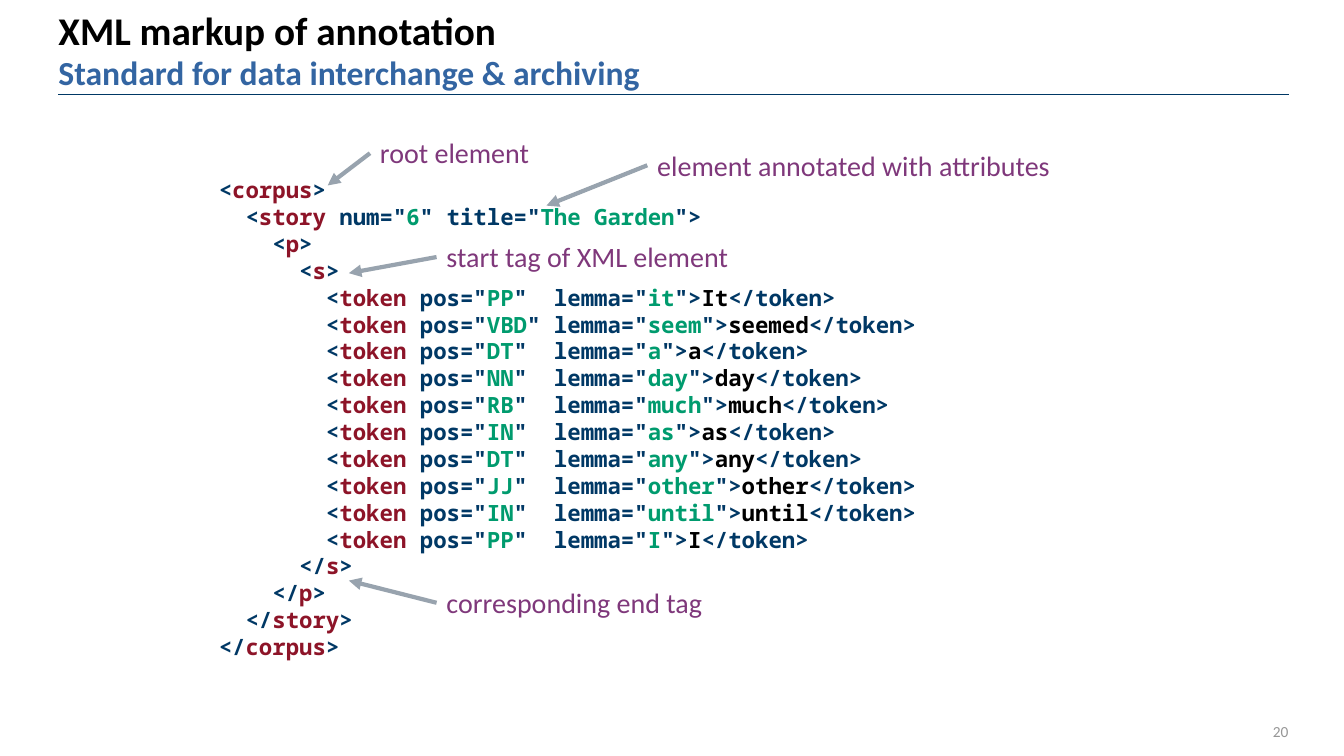
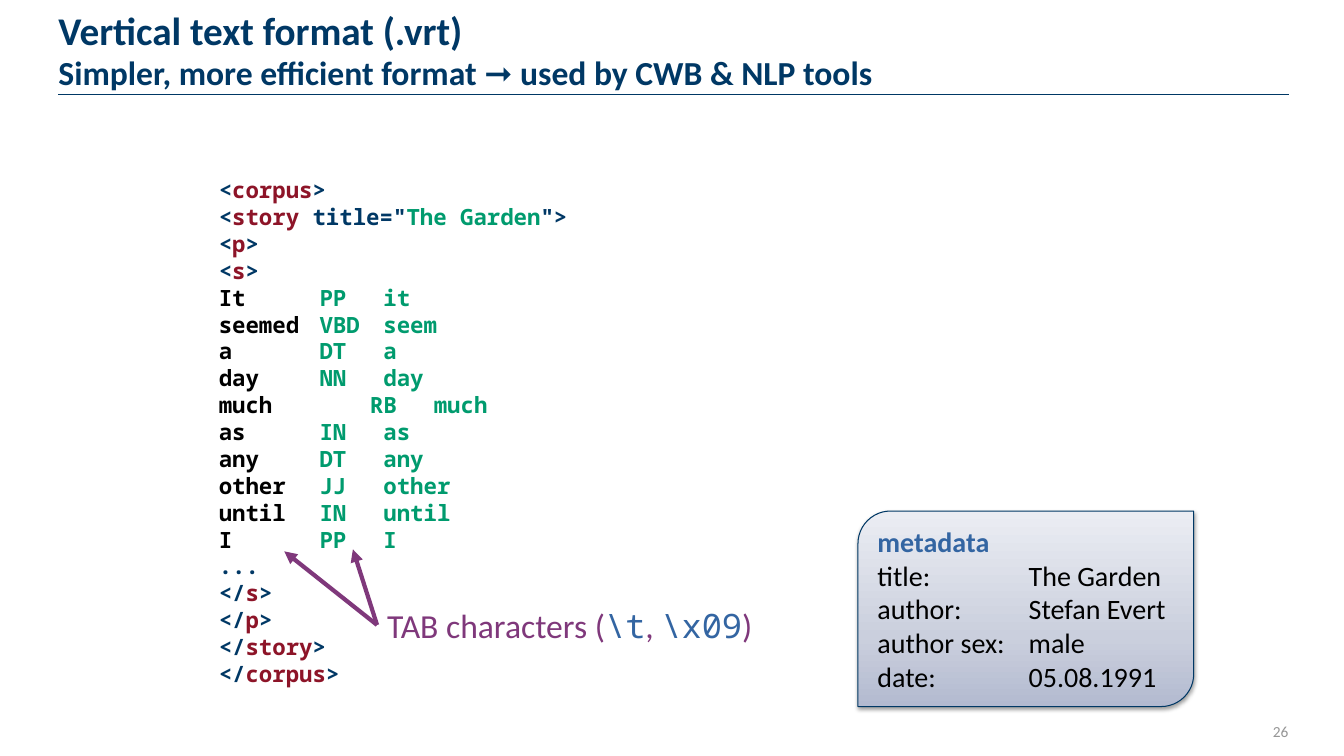
from lxml.etree import SubElement
from pptx import Presentation
from pptx.dml.color import RGBColor
from pptx.enum.shapes import MSO_CONNECTOR, MSO_SHAPE
from pptx.enum.text import MSO_ANCHOR, MSO_AUTO_SIZE, PP_ALIGN
from pptx.oxml import parse_xml
from pptx.oxml.ns import nsdecls, qn
from pptx.util import Inches, Pt

BLACK = RGBColor(0x00, 0x00, 0x00)
NAVY = RGBColor(0x00, 0x38, 0x65)
BLUE = RGBColor(0x33, 0x65, 0xA2)
CRIMSON = RGBColor(0x8D, 0x14, 0x28)
GREEN = RGBColor(0x00, 0x9B, 0x6E)
PURPLE = RGBColor(0x7F, 0x38, 0x7B)
STEEL = RGBColor(0x98, 0xA3, 0xAE)
GREY = RGBColor(0x96, 0x96, 0x96)
CARD_STOPS = (
    (0, RGBColor(0xB3, 0xBA, 0xD0)),
    (35, RGBColor(0xCA, 0xCF, 0xDD)),
    (100, RGBColor(0xEB, 0xED, 0xF3)),
)

SANS = "Calibri"
MONO = "Noto Sans Mono"

TITLE_BOX = (0.58, 0.13, 8.44, 0.79)
CODE_BOX = (2.17, 1.75, 9, 5.57)
NUMBER_BOX = (12.12, 7.01, 0.66, 0.49)
MARGIN_LEFT, MARGIN_RIGHT, RULE_TOP = 0.58, 12.78, 0.94

TOKENS = (
    ("It", "PP", "it"),
    ("seemed", "VBD", "seem"),
    ("a", "DT", "a"),
    ("day", "NN", "day"),
    ("much", "RB", "much"),
    ("as", "IN", "as"),
    ("any", "DT", "any"),
    ("other", "JJ", "other"),
    ("until", "IN", "until"),
    ("I", "PP", "I"),
)


def write(paragraph, text, size=20, color=BLACK, bold=False, font=SANS):
    run = paragraph.add_run()
    run.text = text
    run.font.name = font
    run.font.size = Pt(size)
    run.font.bold = bold
    run.font.color.rgb = color


def set_frame(frame, anchor=MSO_ANCHOR.TOP, insets=(0, 0, 0, 0)):
    frame.word_wrap = True
    frame.auto_size = MSO_AUTO_SIZE.NONE
    frame.vertical_anchor = anchor
    frame.margin_left, frame.margin_top, frame.margin_right, frame.margin_bottom = map(Inches, insets)
    return frame


def add_frame(slide, box, **layout):
    return set_frame(slide.shapes.add_textbox(*map(Inches, box)).text_frame, **layout)


def next_paragraph(frame, index):
    return frame.add_paragraph() if index else frame.paragraphs[0]


def set_tabs(paragraph, *stops):
    tab_list = SubElement(paragraph._p.get_or_add_pPr(), qn("a:tabLst"))
    for stop in stops:
        SubElement(tab_list, qn("a:tab"), pos=str(Inches(stop)), algn="l")


def add_line(slide, start, end, color, width, arrow=False):
    line = slide.shapes.add_connector(MSO_CONNECTOR.STRAIGHT, *map(Inches, (*start, *end)))
    line.line.color.rgb = color
    line.line.width = Pt(width)
    if arrow:
        SubElement(line.line._get_or_add_ln(), qn("a:tailEnd"), type="triangle")
    SubElement(line.element.spPr, qn("a:effectLst"))


def add_page(deck, heading, subheading, heading_color, subheading_color, number):
    slide = deck.slides.add_slide(deck.slide_layouts[5])
    title = slide.shapes.title
    title.left, title.top, title.width, title.height = map(Inches, TITLE_BOX)
    paragraph = set_frame(title.text_frame, anchor=MSO_ANCHOR.BOTTOM).paragraphs[0]
    paragraph.alignment = PP_ALIGN.LEFT
    paragraph.line_spacing = Pt(28)
    write(paragraph, heading, size=28, color=heading_color, bold=True)
    paragraph.add_line_break()
    write(paragraph, subheading, size=24, color=subheading_color, bold=True)
    add_line(slide, (MARGIN_RIGHT, RULE_TOP), (MARGIN_LEFT, RULE_TOP), NAVY, 0.75)
    page = add_frame(slide, NUMBER_BOX, anchor=MSO_ANCHOR.MIDDLE, insets=(0.1, 0, 0, 0)).paragraphs[0]
    page.alignment = PP_ALIGN.RIGHT
    write(page, str(number), size=11, color=GREY)
    return slide


def open_tag(name, *attributes):
    pieces = [("<", NAVY), (name, CRIMSON)]
    quote = ""
    for lead, value in attributes:
        pieces += [(f'{quote}{lead}="', NAVY), (value, GREEN)]
        quote = '"'
    return pieces + [(f"{quote}>", NAVY)]


def close_tag(name):
    return [("</", NAVY), (name, CRIMSON), (">", NAVY)]


def xml_token(word, pos, lemma):
    gap = " " * (4 - len(pos))
    tag = open_tag("token", (" pos", pos), (f"{gap}lemma", lemma))
    return tag + [(word, BLACK), ("</token>", NAVY)]


def vertical_token(word, pos, lemma):
    tabs = "\t" if len(word) > 4 else "\t\t"
    return [(word + tabs, BLACK), (f"{pos}\t {lemma}", GREEN)]


def nested(depth, pieces):
    return [("  " * depth, NAVY)] + pieces if depth else pieces


def add_code(slide, box, lines, tab_stops=()):
    frame = add_frame(slide, box)
    for index, pieces in enumerate(lines):
        paragraph = next_paragraph(frame, index)
        if tab_stops:
            set_tabs(paragraph, *tab_stops)
        paragraph.line_spacing = Pt(19.2)
        for text, color in pieces:
            write(paragraph, text, size=16, color=color, bold=True, font=MONO)


def add_callout(slide, box, pieces, tips, arrow_color, size=20):
    left, top, _, height = box
    paragraph = add_frame(slide, box, insets=(0.1, 0.05, 0.1, 0.05)).paragraphs[0]
    for text, color, font in pieces:
        write(paragraph, text, size=size, color=color, font=font)
    for tip in tips:
        add_line(slide, (left, top + height / 2), tip, arrow_color, 3, arrow=True)


def add_metadata_card(slide, box, heading, entries):
    card = slide.shapes.add_shape(MSO_SHAPE.ROUND_2_DIAG_RECTANGLE, *map(Inches, box))
    stops = "".join(
        f'<a:gs pos="{position * 1000}"><a:srgbClr val="{color}"/></a:gs>' for position, color in CARD_STOPS
    )
    gradient = parse_xml(
        f'<a:gradFill {nsdecls("a")} rotWithShape="1"><a:gsLst>{stops}</a:gsLst>'
        '<a:lin ang="16200000" scaled="0"/></a:gradFill>'
    )
    properties = card.element.spPr
    properties.find(qn("a:prstGeom")).addnext(gradient)
    card.line.color.rgb = NAVY
    card.line.width = Pt(0.75)
    card.shadow.inherit = False
    shadow = parse_xml(
        f'<a:outerShdw {nsdecls("a")} blurRad="{Pt(3.1)}" dist="{Pt(1.6)}" dir="5400000" rotWithShape="0">'
        '<a:srgbClr val="000000"><a:alpha val="38000"/></a:srgbClr></a:outerShdw>'
    )
    properties.find(qn("a:effectLst")).append(shadow)

    frame = set_frame(card.text_frame, anchor=MSO_ANCHOR.MIDDLE, insets=(0.1, 0.05, 0.1, 0.05))
    frame.paragraphs[0].alignment = PP_ALIGN.LEFT
    write(frame.paragraphs[0], heading, color=BLUE, bold=True)
    for field, value in entries:
        paragraph = frame.add_paragraph()
        set_tabs(paragraph, 1.5)
        paragraph.alignment = PP_ALIGN.LEFT
        write(paragraph, f"{field}:\t{value}")


def build_xml_slide(deck):
    slide = add_page(
        deck, "XML markup of annotation", "Standard for data interchange & archiving", BLACK, BLUE, 20
    )
    elements = ("corpus", "story", "p", "s")
    attributes = {"story": ((" num", "6"), (" title", "The Garden"))}
    opening = [nested(depth, open_tag(name, *attributes.get(name, ()))) for depth, name in enumerate(elements)]
    closing = [nested(depth, close_tag(name)) for depth, name in enumerate(elements)]
    tokens = [nested(len(elements), xml_token(*token)) for token in TOKENS]
    add_code(slide, CODE_BOX, opening + tokens + closing[::-1])
    for label, box, tip in (
        ("start tag of XML element", (4.33, 2.33, 3.12, 0.44), (3.46, 2.71)),
        ("corresponding end tag", (4.33, 5.76, 3.12, 0.44), (3.46, 5.76)),
        ("root element", (3.67, 1.3, 1.74, 0.44), (3.25, 1.84)),
        ("element annotated with attributes", (6.42, 1.42, 4.15, 0.44), (5.42, 2.04)),
    ):
        add_callout(slide, box, [(label, PURPLE, SANS)], [tip], STEEL)


def build_vertical_slide(deck):
    slide = add_page(
        deck,
        "Vertical text format (.vrt)",
        "Simpler, more efficient format ➞ used by CWB & NLP tools",
        NAVY,
        NAVY,
        26,
    )
    elements = ("corpus", "story", "p", "s")
    attributes = {"story": ((" title", "The Garden"),)}
    opening = [open_tag(name, *attributes.get(name, ())) for name in elements]
    closing = [close_tag(name) for name in reversed(elements)]
    tokens = [vertical_token(*token) for token in TOKENS]
    add_code(slide, CODE_BOX, opening + tokens + [[("...", NAVY)]] + closing, tab_stops=(0.5, 1, 1.5, 2))
    add_callout(
        slide,
        (3.74, 5.95, 4.69, 0.5),
        [
            ("TAB characters (", PURPLE, SANS),
            ("\\t", BLUE, MONO),
            (", ", PURPLE, SANS),
            ("\\x09", BLUE, MONO),
            (")", PURPLE, SANS),
        ],
        [(3.5, 5.45), (2.82, 5.47)],
        PURPLE,
        size=24,
    )
    add_metadata_card(
        slide,
        (8.51, 5.07, 3.33, 1.94),
        "metadata",
        (
            ("title", "The Garden"),
            ("author", "Stefan Evert"),
            ("author sex", "male"),
            ("date", "05.08.1991"),
        ),
    )


def main():
    deck = Presentation()
    deck.slide_width = Inches(13.33)
    deck.slide_height = Inches(7.5)
    build_xml_slide(deck)
    build_vertical_slide(deck)
    deck.save("out.pptx")


if __name__ == "__main__":
    main()
